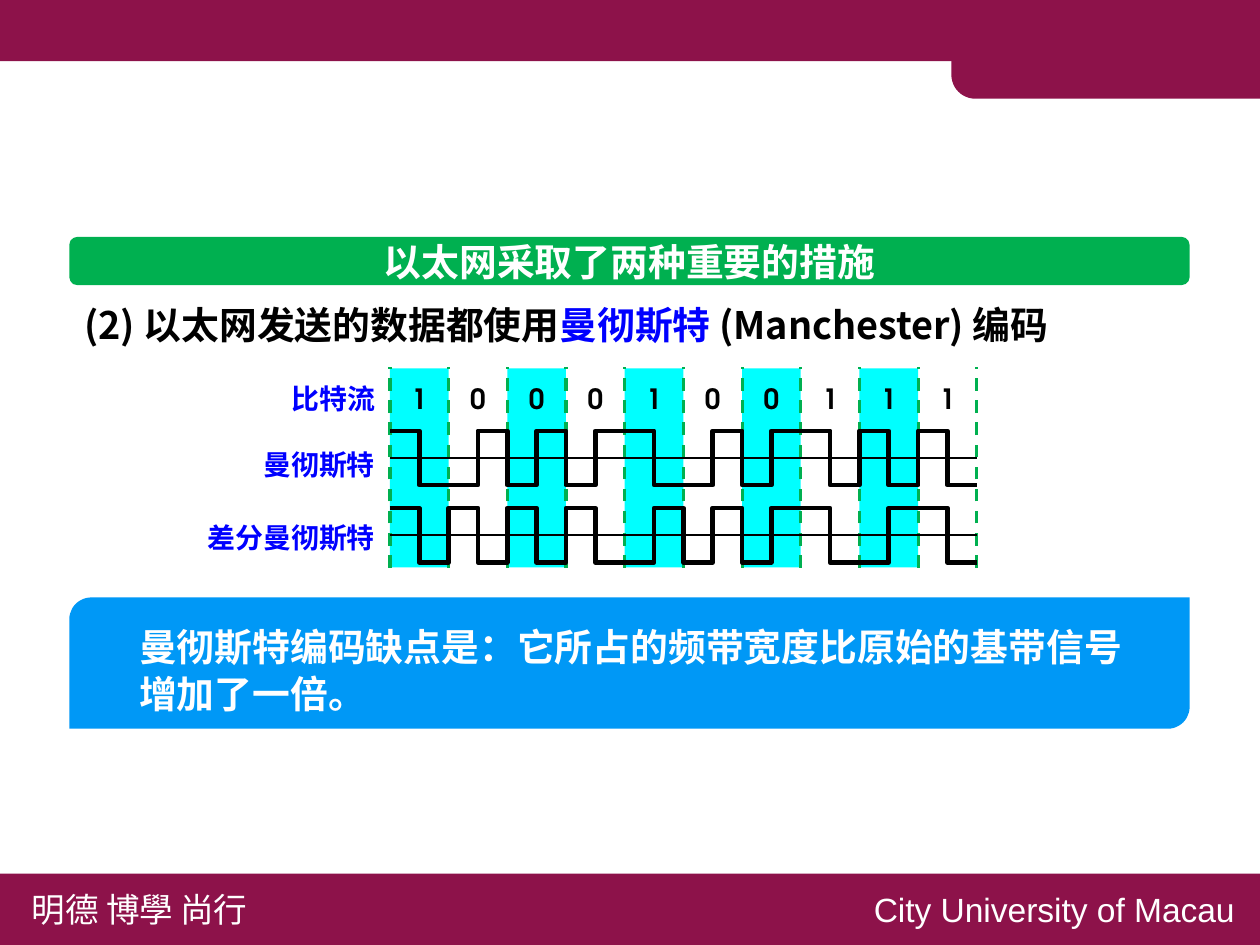
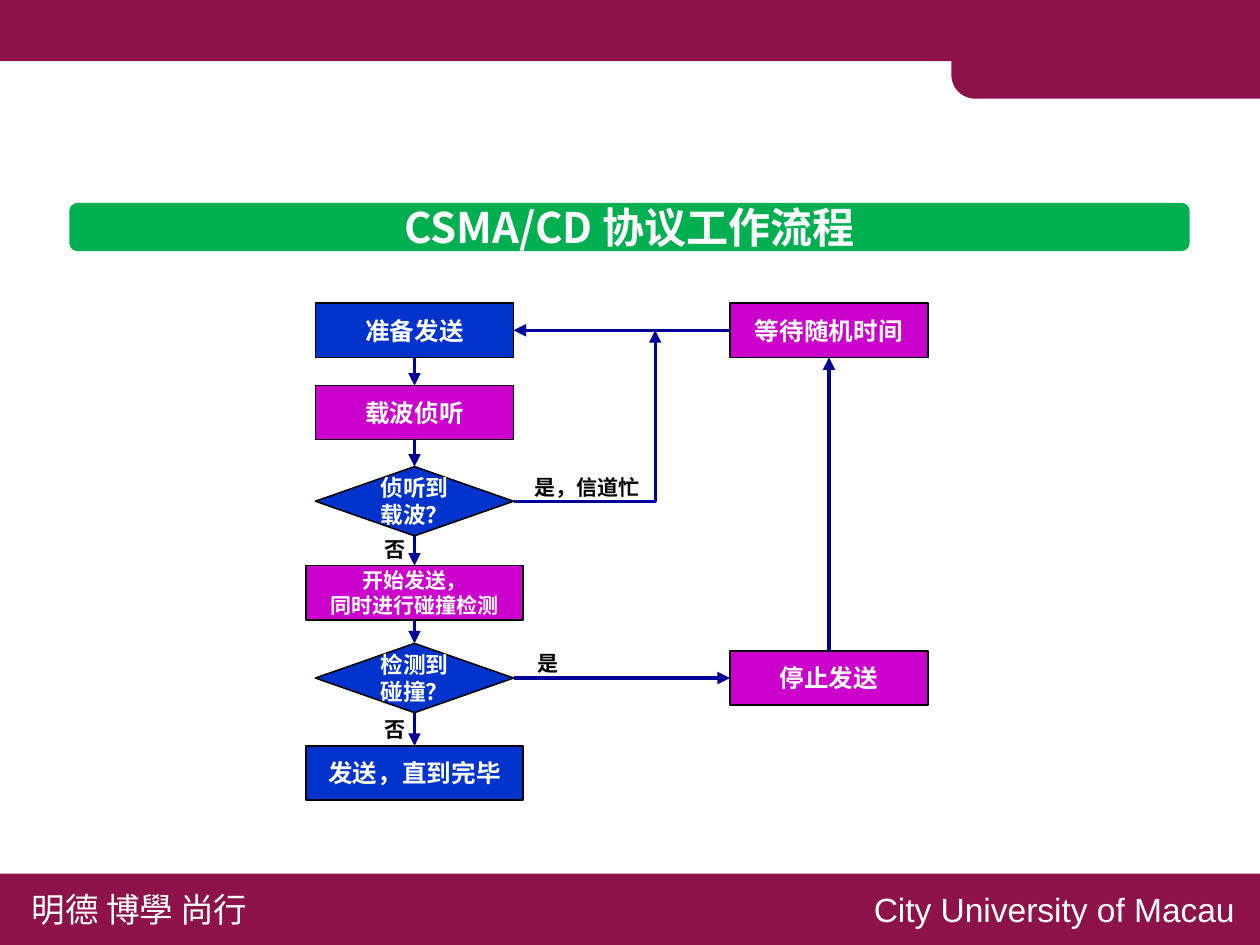
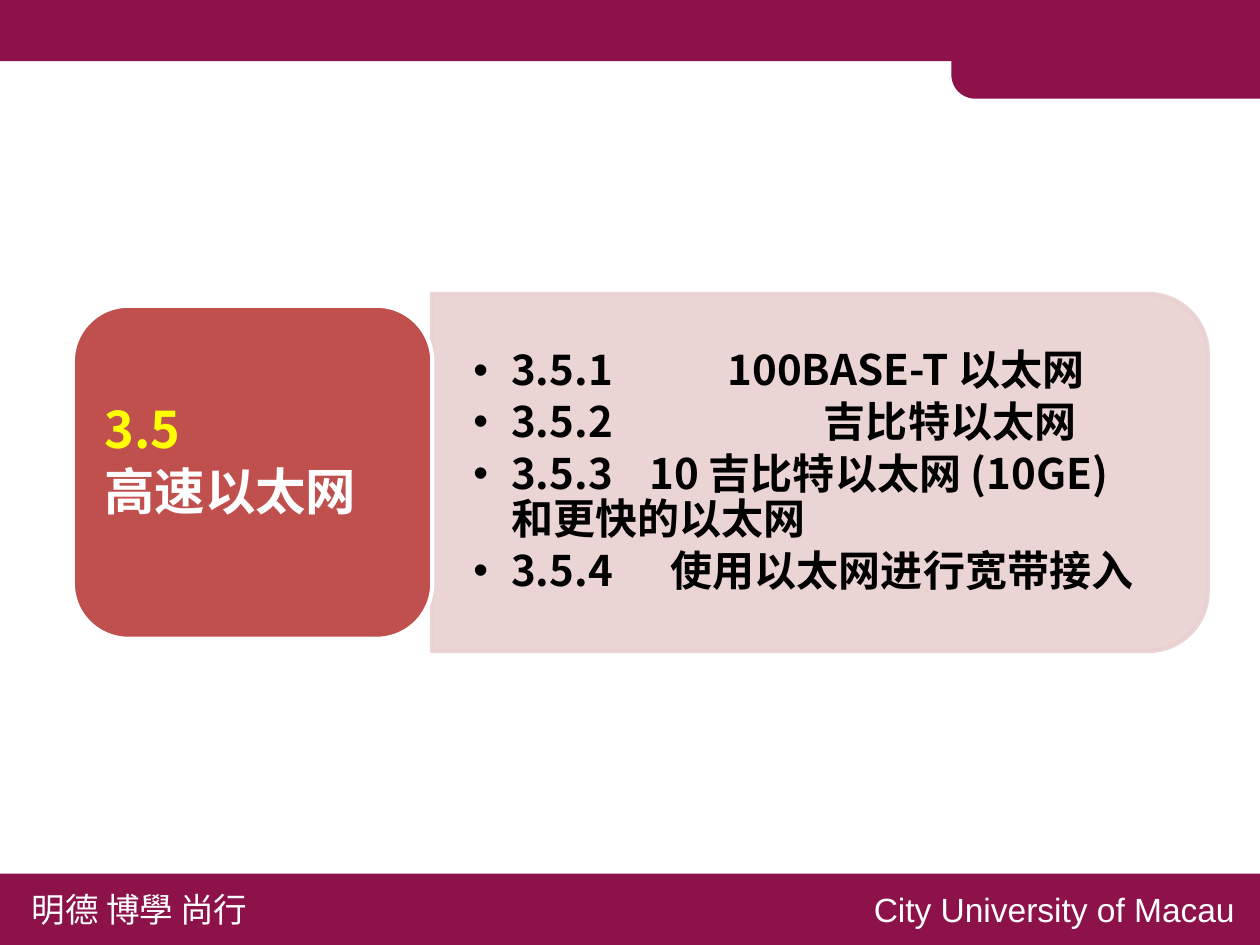
from dataclasses import dataclass, replace
from typing import Optional

from lxml.etree import SubElement
from pptx import Presentation
from pptx.dml.color import RGBColor
from pptx.enum.dml import MSO_LINE
from pptx.enum.shapes import MSO_CONNECTOR as Link, MSO_SHAPE as Preset
from pptx.enum.text import MSO_ANCHOR as Anchor, MSO_AUTO_SIZE as AutoSize, PP_ALIGN as Align
from pptx.oxml.ns import qn
from pptx.shapes.autoshape import Shape
from pptx.shapes.connector import Connector
from pptx.slide import Slide
from pptx.util import Pt

MAROON = RGBColor(0x8D, 0x12, 0x4A)
GREEN = RGBColor(0x00, 0xB0, 0x50)
CYAN = RGBColor(0x00, 0xFF, 0xFF)
SKY = RGBColor(0x00, 0x98, 0xF6)
LABEL_BLUE = RGBColor(0x00, 0x00, 0xFF)
STEP_BLUE = RGBColor(0x00, 0x33, 0xCC)
STEP_PURPLE = RGBColor(0xCC, 0x00, 0xCC)
ARROW_NAVY = RGBColor(0x00, 0x00, 0x99)
BRICK = RGBColor(0xC0, 0x50, 0x4D)
BLUSH = RGBColor(0xE8, 0xD0, 0xD0)
YELLOW = RGBColor(0xFF, 0xFF, 0x00)
WHITE = RGBColor(0xFF, 0xFF, 0xFF)
BLACK = RGBColor(0x00, 0x00, 0x00)

NOTO = "Noto Sans CJK SC"
DIGIT_FACE = "TeX Gyre Adventor"


@dataclass(frozen=True)
class Frame:
    left: float
    top: float
    width: float
    height: float


@dataclass(frozen=True)
class Style:
    size: float
    color: RGBColor = BLACK
    face: str = NOTO
    bold: bool = True
    align: Align = Align.LEFT
    anchor: Anchor = Anchor.TOP
    wrap: bool = True
    spacing: Optional[float] = None
    inset: tuple[float, float] = (7.2, 3.6)


@dataclass(frozen=True)
class Span:
    text: str
    color: RGBColor


@dataclass(frozen=True)
class Step:
    text: str
    frame: Frame
    fill: RGBColor
    size: float = 11.7
    preset: Preset = Preset.RECTANGLE


@dataclass(frozen=True)
class Wave:
    label: str
    label_top: float
    high: float
    low: float
    levels: list[int]


@dataclass(frozen=True)
class Topic:
    number: str
    name: str
    tab: float


HEADING = Style(18, WHITE, align=Align.CENTER, anchor=Anchor.MIDDLE, wrap=False)
STATEMENT = Style(18, spacing=Pt(22.5))
WAVE_LABEL = Style(13.3, LABEL_BLUE, "Arial", align=Align.RIGHT, inset=(5.8, 2.9))
BIT_STYLE = Style(13.3, BLACK, DIGIT_FACE, align=Align.CENTER, inset=(0, 2.9))
BRANCH_LABEL = Style(10, wrap=False)


def format_run(run, style: Style, color: RGBColor) -> None:
    font = run.font
    font.size, font.bold, font.name = Pt(style.size), style.bold, style.face
    font.color.rgb = color
    SubElement(run._r.get_or_add_rPr(), qn("a:ea"), typeface=style.face)


def format_text(shape: Shape, style: Style) -> None:
    frame = shape.text_frame
    frame.auto_size = AutoSize.NONE
    frame.word_wrap = style.wrap
    frame.vertical_anchor = style.anchor
    frame.margin_left = frame.margin_right = Pt(style.inset[0])
    frame.margin_top = frame.margin_bottom = Pt(style.inset[1])
    for para in frame.paragraphs:
        para.alignment = style.align
        para.space_before = Pt(0)
        if style.spacing is not None:
            para.line_spacing = style.spacing
        for run in para.runs:
            format_run(run, style, style.color)


def place(shape: Shape, frame: Frame) -> None:
    shape.left, shape.top = Pt(frame.left), Pt(frame.top)
    shape.width, shape.height = Pt(frame.width), Pt(frame.height)


def bring_to_front(page: Slide, shape: Shape) -> None:
    page.shapes.element.append(shape.element)


def add_block(page: Slide, preset: Preset, frame: Frame, fill: RGBColor,
              line: Optional[RGBColor] = None, weight: float = 0.75) -> Shape:
    block = page.shapes.add_shape(preset, Pt(frame.left), Pt(frame.top), Pt(frame.width), Pt(frame.height))
    block.shadow.inherit = False
    block.fill.solid()
    block.fill.fore_color.rgb = fill
    if line is None:
        block.line.fill.background()
    else:
        block.line.color.rgb = line
        block.line.width = Pt(weight)
    return block


def add_text(page: Slide, text: str, frame: Frame, style: Style) -> Shape:
    box = page.shapes.add_textbox(Pt(frame.left), Pt(frame.top), Pt(frame.width), Pt(frame.height))
    box.text_frame.text = text
    format_text(box, style)
    return box


def add_line(page: Slide, start: tuple[float, float], end: tuple[float, float], color: RGBColor,
             weight: float, kind: Link = Link.STRAIGHT) -> Connector:
    line = page.shapes.add_connector(kind, Pt(start[0]), Pt(start[1]), Pt(end[0]), Pt(end[1]))
    line.line.color.rgb = color
    line.line.width = Pt(weight)
    SubElement(line.element.spPr, qn("a:effectLst"))
    return line


def add_arrow(page: Slide, start: tuple[float, float], end: tuple[float, float],
              kind: Link = Link.STRAIGHT) -> Connector:
    arrow = add_line(page, start, end, ARROW_NAVY, 1.5, kind)
    SubElement(arrow.element.spPr.find(qn("a:ln")), qn("a:tailEnd"), type="triangle")
    return arrow


def join(page: Slide, source: Shape, source_side: int, target: Shape, target_side: int) -> None:
    arrow = add_arrow(page, (0, 0), (0, 0))
    arrow.begin_connect(source, source_side)
    arrow.end_connect(target, target_side)


def add_banner(page: Slide, text: str, top: float, size: float) -> None:
    frame = Frame(33, top, 533.5, 23)
    add_block(page, Preset.ROUNDED_RECTANGLE, frame, GREEN)
    title = page.shapes.title
    place(title, frame)
    title.text_frame.text = text
    format_text(title, replace(HEADING, size=size))
    bring_to_front(page, title)


def decorate_master(deck, page: Slide) -> None:
    top_band = add_block(page, Preset.RECTANGLE, Frame(0, 0, 600, 29.2), MAROON)
    corner = add_block(page, Preset.ROUND_1_RECTANGLE, Frame(453, 1.4, 147, 45.6), MAROON)
    corner.adjustments[0] = 0.25
    corner.rotation = 180
    footer = add_block(page, Preset.RECTANGLE, Frame(0, 416, 600, 34), MAROON)
    caption = Style(16, WHITE, bold=False, wrap=False)
    motto = add_text(page, "明德 博學 尚行", Frame(8, 419.8, 121, 26.6), caption)
    school = add_text(page, "City University of Macau", Frame(409, 419.8, 188.6, 26.6),
                      replace(caption, face="Arial"))
    for part in (top_band, corner, footer, motto, school):
        deck.slide_master.shapes.element.append(part.element)


def manchester(bits: str) -> list[int]:
    return [level for bit in bits for level in ((1, 0) if bit == "1" else (0, 1))]


def differential_manchester(bits: str) -> list[int]:
    levels, current = [], 1
    for index, bit in enumerate(bits):
        if index and bit == "0":
            current = 1 - current
        levels.append(current)
        current = 1 - current
        levels.append(current)
    return levels


def draw_wave(page: Slide, wave: Wave, left: float, half: float) -> None:
    points = []
    for index, level in enumerate(wave.levels):
        height = Pt(wave.high if level else wave.low)
        points += [(Pt(left + index * half), height), (Pt(left + (index + 1) * half), height)]
    builder = page.shapes.build_freeform(*points[0], scale=1.0)
    builder.add_line_segments(points[1:], close=False)
    trace = builder.convert_to_shape()
    trace.shadow.inherit = False
    trace.fill.background()
    trace.line.color.rgb = BLACK
    trace.line.width = Pt(2.25)
    middle = (wave.high + wave.low) / 2
    add_line(page, (left, middle), (left + len(wave.levels) * half, middle), BLACK, 1)


def build_encoding(page: Slide) -> None:
    add_banner(page, "以太网采取了两种重要的措施", 112.8, 18)
    statement = add_text(page, "(2) 以太网发送的数据都使用", Frame(33, 139, 503, 29), STATEMENT)
    para = statement.text_frame.paragraphs[0]
    for span in (Span("曼彻斯特 ", LABEL_BLUE), Span("(Manchester) 编码", BLACK)):
        run = para.add_run()
        run.text = span.text
        format_run(run, STATEMENT, span.color)

    bits, left, cell, top, bottom = "1000100111", 185.7, 27.95, 175, 270.3
    for index in range(0, len(bits), 2):
        add_block(page, Preset.RECTANGLE, Frame(left + index * cell, top + 0.5, cell, bottom - top - 0.5), CYAN)
    for index in range(len(bits) + 1):
        edge = left + index * cell
        add_line(page, (edge, bottom), (edge, top), GREEN, 1.5).line.dash_style = MSO_LINE.DASH
    for index, bit in enumerate(bits):
        add_text(page, bit, Frame(left + index * cell, 178.6, cell, 22), BIT_STYLE)

    waves = (
        Wave("曼彻斯特", 210.2, 205.2, 231, manchester(bits)),
        Wave("差分曼彻斯特", 244.8, 242, 267.8, differential_manchester(bits)),
    )
    for label, label_top in [("比特流", 178.6)] + [(wave.label, wave.label_top) for wave in waves]:
        add_text(page, label, Frame(77.8, label_top, 106.6, 22), WAVE_LABEL)
    for wave in waves:
        draw_wave(page, wave, left, cell / 2)

    add_block(page, Preset.ROUND_2_DIAG_RECTANGLE, Frame(33, 284.5, 533.5, 62.5), SKY)
    add_text(page, "曼彻斯特编码缺点是：它所占的频带宽度比原始的基带信号增加了一倍。",
             Frame(59.2, 292.5, 489.6, 52.6), replace(STATEMENT, color=WHITE))


def add_step(page: Slide, step: Step) -> Shape:
    shape = add_block(page, step.preset, step.frame, step.fill, BLACK)
    shape.text_frame.text = step.text
    format_text(shape, Style(step.size, WHITE, align=Align.CENTER, anchor=Anchor.MIDDLE))
    return shape


def build_flow(page: Slide) -> None:
    add_banner(page, "CSMA/CD 协议工作流程", 96.6, 20)
    left, wide_left, right = 150.2, 145.7, 347.6
    width, wide, height, tall = 94.4, 103.4, 25.8, 33
    main_steps = (
        Step("准备发送", Frame(left, 144.4, width, height), STEP_BLUE),
        Step("载波侦听", Frame(left, 183.6, width, height), STEP_PURPLE),
        Step("侦听到载波？", Frame(left, 222.2, width, tall), STEP_BLUE, 10.8, Preset.DIAMOND),
        Step("开始发送，\n同时进行碰撞检测", Frame(wide_left, 269.4, wide, height), STEP_PURPLE, 10),
        Step("检测到碰撞？", Frame(left, 306.4, width, tall), STEP_BLUE, 10.8, Preset.DIAMOND),
        Step("发送，直到完毕", Frame(wide_left, 355.2, wide, height), STEP_BLUE),
    )
    chain = [add_step(page, step) for step in main_steps]
    stop = add_step(page, Step("停止发送", Frame(right, 310, width, height), STEP_PURPLE))
    wait = add_step(page, Step("等待随机时间", Frame(right, 144.4, width, height), STEP_PURPLE))
    for upper, lower in zip(chain, chain[1:]):
        join(page, upper, 2, lower, 0)
    prepare, _, sensed, _, collided, _ = chain
    join(page, collided, 3, stop, 1)
    join(page, stop, 0, wait, 2)
    join(page, wait, 1, prepare, 3)

    busy = add_arrow(page, (left + width, 238.7), (312, 157.3), Link.ELBOW)
    busy.element.spPr.find(qn("a:prstGeom")).set("prst", "bentConnector2")
    busy.begin_connect(sensed, 3)

    for text, x, y, label_width in (("是，信道忙", 247.4, 222.5, 64.8), ("是", 249.1, 306.2, 24.5),
                                    ("否", 175.9, 337.9, 24.5), ("否", 175.9, 252, 24.5)):
        add_text(page, text, Frame(x, y, label_width, 19.4), BRANCH_LABEL)


def build_contents(page: Slide) -> None:
    panel = add_block(page, Preset.ROUND_2_SAME_RECTANGLE, Frame(305.4, 40.3, 170, 369.4), BLUSH, BLUSH, 2)
    panel.rotation = 90
    for color in panel.element.spPr.iter(qn("a:srgbClr")):
        SubElement(color, qn("a:alpha"), val="90000")

    topics = (
        Topic("3.5.1", "100BASE-T 以太网", 121),
        Topic("3.5.2", "吉比特以太网", 167),
        Topic("3.5.3", "10 吉比特以太网 (10GE) 和更快的以太网", 84),
        Topic("3.5.4", "使用以太网进行宽带接入", 94),
    )
    body = page.placeholders[1]
    place(body, Frame(206, 148.3, 360.7, 153.4))
    body.text_frame.text = "\n".join(f"{topic.number}\t{topic.name}" for topic in topics)
    for para, topic in zip(body.text_frame.paragraphs, topics):
        properties = para._p.get_or_add_pPr()
        properties.set("marL", str(Pt(18)))
        properties.set("indent", str(Pt(-18)))
        SubElement(properties, qn("a:buChar"), char="•")
        tabs = SubElement(properties, qn("a:tabLst"))
        SubElement(tabs, qn("a:tab"), pos=str(Pt(topic.tab)), algn="l")
        para.space_after = Pt(3)
    format_text(body, Style(20, anchor=Anchor.MIDDLE, spacing=0.9, inset=(19.4, 10)))
    bring_to_front(page, body)

    add_block(page, Preset.ROUNDED_RECTANGLE, Frame(34.7, 145.6, 171.2, 158.6), BRICK, WHITE, 2)
    title = page.shapes.title
    place(title, Frame(42.5, 153.4, 155.5, 143.2))
    title.text_frame.text = "3.5\n高速以太网"
    format_text(title, Style(24, WHITE, anchor=Anchor.MIDDLE, spacing=0.8))
    number, name = title.text_frame.paragraphs
    number.line_spacing = 0.5
    number.runs[0].font.color.rgb = YELLOW
    for para in (number, name):
        para.space_after = Pt(8.4)
    bring_to_front(page, title)


def main() -> None:
    deck = Presentation()
    deck.slide_width, deck.slide_height = Pt(600), Pt(450)
    title_only, title_and_content = deck.slide_layouts[5], deck.slide_layouts[1]
    encoding = deck.slides.add_slide(title_only)
    decorate_master(deck, encoding)
    build_encoding(encoding)
    build_flow(deck.slides.add_slide(title_only))
    build_contents(deck.slides.add_slide(title_and_content))
    deck.save("out.pptx")


if __name__ == "__main__":
    main()
